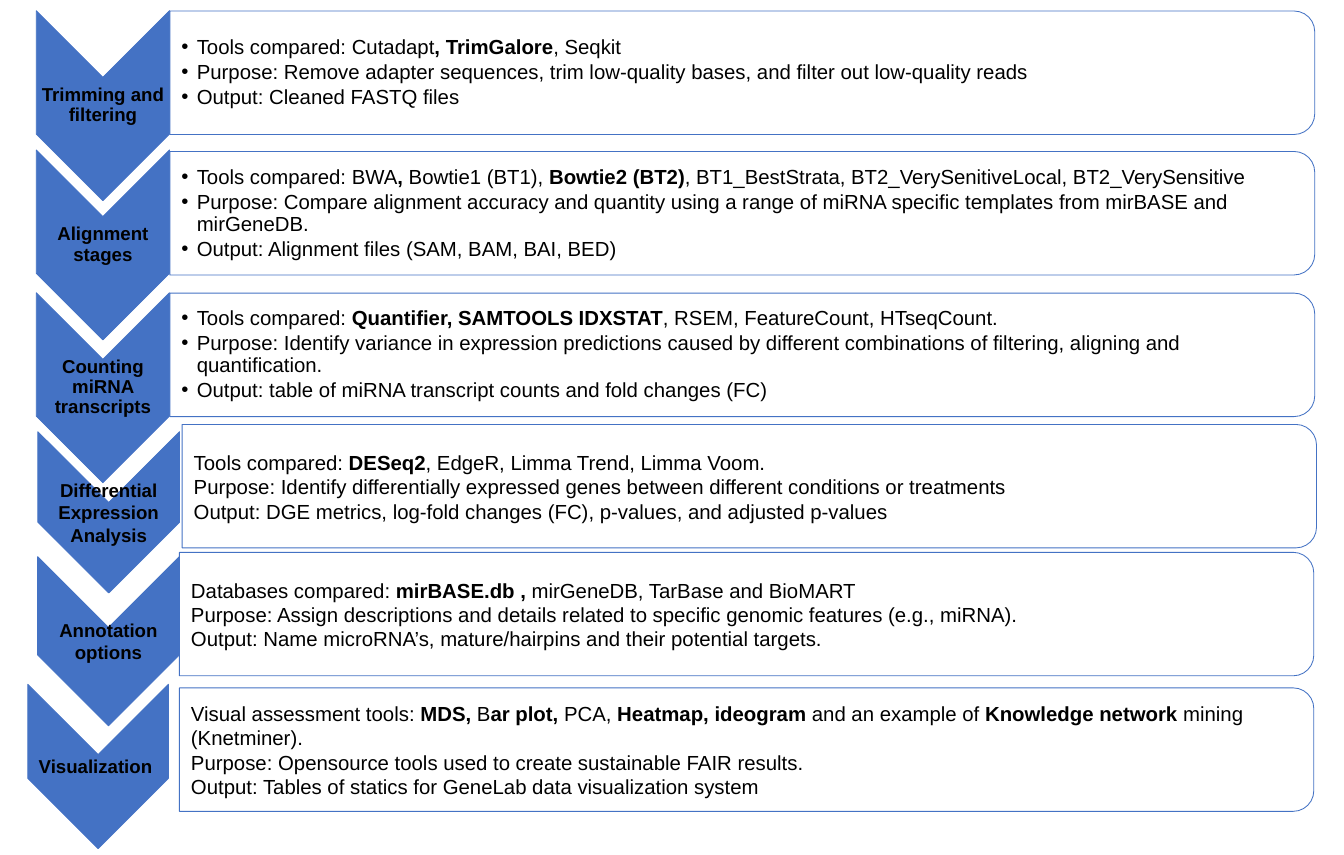
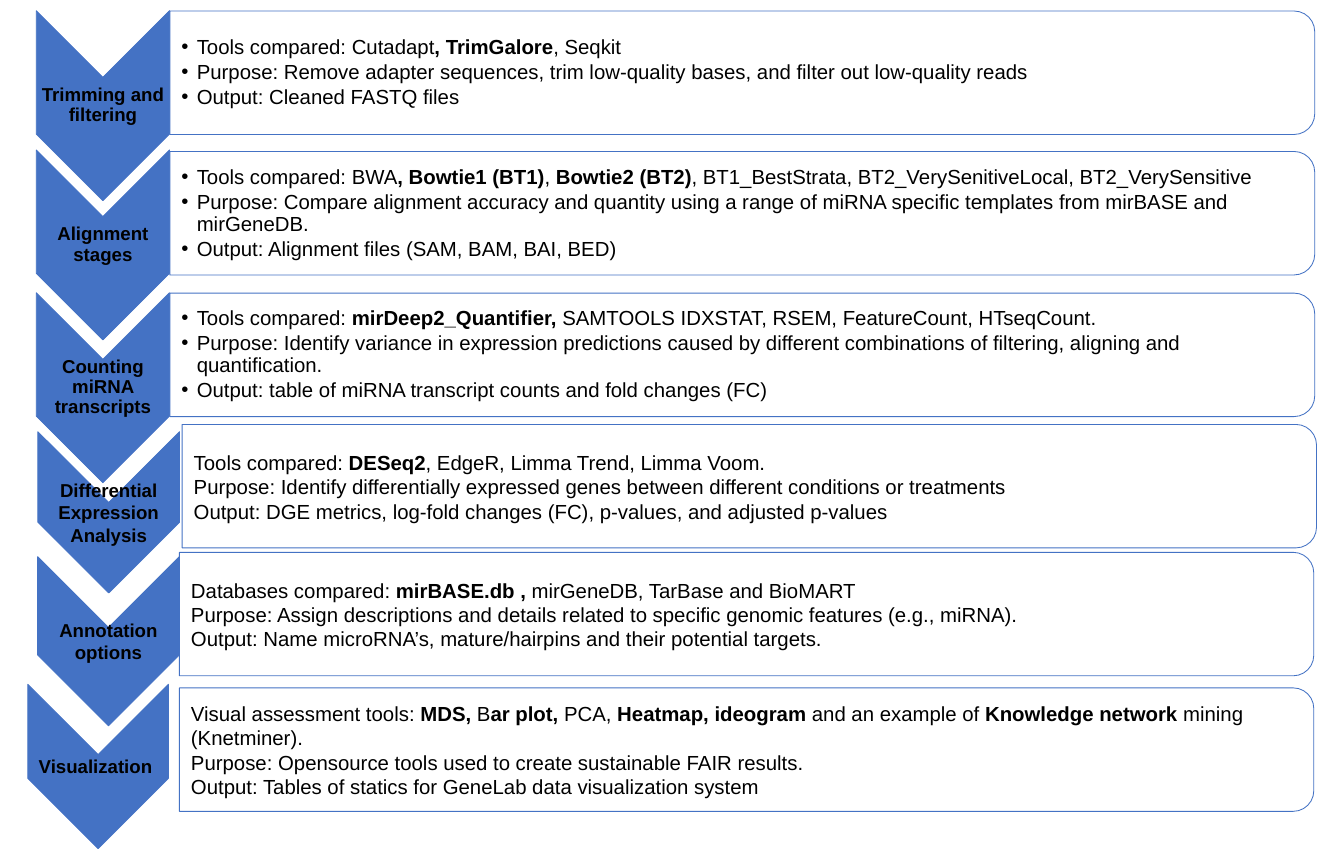
from dataclasses import dataclass

from lxml.etree import SubElement
from pptx import Presentation
from pptx.dml.color import RGBColor
from pptx.enum.shapes import MSO_SHAPE
from pptx.enum.text import MSO_ANCHOR, PP_ALIGN
from pptx.oxml.ns import qn
from pptx.shapes.autoshape import Shape
from pptx.slide import Slide
from pptx.text.text import TextFrame, _Paragraph
from pptx.util import Pt

COLORS = {"blue": "4472C4", "white": "FFFFFF", "black": "000000"}
FONT = "Arial"
LABEL_SIZE, DETAIL_SIZE = 22, 24
INSET, DETAIL_INSET, HANGING = 1.4, 13.7, 18
PANEL_ALPHA = 90
DETAIL_OFFSET, DETAIL_HEIGHT = 7.2, 131.8


@dataclass(frozen=True)
class Box:
    left: float
    top: float
    width: float
    height: float


@dataclass(frozen=True)
class Step:
    label: str
    arrow: Box
    panel: Box
    detail_width: float
    details: tuple[str, ...]
    compact: bool = False


def upper_step(label: str, arrow_top: float, panel_top: float, *details: str) -> Step:
    return Step(label, Box(42.8, arrow_top, 157, 223.9),
                Box(200.2, panel_top, 1349.3, 145.6), 1342.8, details, True)


def lower_step(label: str, arrow: Box, panel_left: float, panel_top: float,
               detail_width: float, *details: str) -> Step:
    return Step(label, arrow, Box(panel_left, panel_top, 1337, 145.6), detail_width, details)


def workflow(alignment_tools: str, counting_tools: str) -> list[Step]:
    return [
        upper_step(
            "Trimming and filtering", 12.6, 13,
            "Tools compared: Cutadapt**, TrimGalore**, Seqkit",
            "Purpose: Remove adapter sequences, trim low-quality bases, "
            "and filter out low-quality reads",
            "Output: Cleaned FASTQ files"),
        upper_step(
            "Alignment stages", 176.8, 178.6,
            f"Tools compared: BWA{alignment_tools}, BT1_BestStrata, "
            "BT2_VerySenitiveLocal, BT2_VerySensitive",
            "Purpose: Compare alignment accuracy and quantity using a range of "
            "miRNA specific templates from mirBASE and mirGeneDB.",
            "Output: Alignment files (SAM, BAM, BAI, BED)"),
        upper_step(
            "Counting miRNA transcripts", 345.2, 345.6,
            f"Tools compared: {counting_tools}, RSEM, FeatureCount, HTseqCount.",
            "Purpose: Identify variance in expression predictions caused by different "
            "combinations of filtering, aligning and quantification.",
            "Output: table of miRNA transcript counts and fold changes (FC)"),
        lower_step(
            "Differential Expression Analysis", Box(44.6, 509, 167, 190.1), 214.6, 500.4, 1324,
            "Tools compared: **DESeq2**, EdgeR, Limma Trend, Limma Voom.",
            "Purpose: Identify differentially expressed genes between different "
            "conditions or treatments",
            "Output: DGE metrics, log-fold changes (FC), p-values, and adjusted p-values"),
        lower_step(
            "Annotation options", Box(44.3, 656.3, 167, 199.4), 211.4, 651.2, 1345.7,
            "Databases compared: **mirBASE.db , **mirGeneDB, TarBase and BioMART",
            "Purpose: Assign descriptions and details related to specific genomic "
            "features (e.g., miRNA).",
            "Output: Name microRNA’s, mature/hairpins and their potential targets."),
        lower_step(
            "Visualization ", Box(32.8, 806.8, 165.6, 193.7), 211.4, 811, 1324,
            "Visual assessment tools: **MDS,** B**ar plot, **PCA, **Heatmap, ideogram **"
            "and an example of **Knowledge network **mining (Knetminer).",
            "Purpose: Opensource tools used to create sustainable FAIR results.",
            "Output: Tables of statics for GeneLab data visualization system"),
    ]


def color(name: str) -> RGBColor:
    return RGBColor.from_string(COLORS[name])


def add_turned(slide: Slide, preset: MSO_SHAPE, box: Box, fill: str) -> Shape:
    left = box.left + (box.width - box.height) / 2
    top = box.top + (box.height - box.width) / 2
    shape = slide.shapes.add_shape(preset, Pt(left), Pt(top), Pt(box.height), Pt(box.width))
    shape.rotation = 90
    shape.shadow.inherit = False
    shape.fill.solid()
    shape.fill.fore_color.rgb = color(fill)
    shape.line.color.rgb = color("blue")
    shape.line.width = Pt(1)
    return shape


def set_alpha(shape: Shape, percent: int) -> None:
    tint = shape.fill._xPr.find(qn("a:solidFill"))[0]
    SubElement(tint, qn("a:alpha")).set("val", str(percent * 1000))


def add_frame(slide: Slide, box: Box, left_inset: float) -> TextFrame:
    frame = slide.shapes.add_textbox(
        Pt(box.left), Pt(box.top), Pt(box.width), Pt(box.height)).text_frame
    frame.word_wrap = True
    frame.vertical_anchor = MSO_ANCHOR.MIDDLE
    frame.margin_left = Pt(left_inset)
    frame.margin_top = frame.margin_right = frame.margin_bottom = Pt(INSET)
    return frame


def add_run(paragraph: _Paragraph, text: str, size: float, bold: bool) -> None:
    run = paragraph.add_run()
    run.text = text
    run.font.name = FONT
    run.font.size = Pt(size)
    run.font.bold = bold
    run.font.color.rgb = color("black")


def tighten(paragraph: _Paragraph, space_after: float) -> None:
    paragraph.line_spacing = 0.9
    paragraph.space_after = Pt(space_after)


def add_bullet(paragraph: _Paragraph) -> None:
    paragraph.level = 1
    properties = paragraph._p.get_or_add_pPr()
    properties.set("marL", str(Pt(HANGING)))
    properties.set("indent", str(-Pt(HANGING)))
    SubElement(properties, qn("a:buFont")).set("typeface", FONT)
    SubElement(properties, qn("a:buChar")).set("char", "•")


def draw_label(slide: Slide, step: Step) -> None:
    arrow = step.arrow
    box = Box(arrow.left, arrow.top + 0.35 * arrow.height, arrow.width, 0.3 * arrow.height)
    paragraph = add_frame(slide, box, INSET).paragraphs[0]
    paragraph.alignment = PP_ALIGN.CENTER
    if step.compact:
        tighten(paragraph, 0.35 * LABEL_SIZE)
    add_run(paragraph, step.label, LABEL_SIZE, True)


def draw_details(slide: Slide, step: Step) -> None:
    panel = step.panel
    box = Box(panel.left, panel.top + DETAIL_OFFSET, step.detail_width, DETAIL_HEIGHT)
    frame = add_frame(slide, box, DETAIL_INSET)
    for index, detail in enumerate(step.details):
        paragraph = frame.add_paragraph() if index else frame.paragraphs[0]
        if step.compact:
            tighten(paragraph, 0.15 * DETAIL_SIZE)
            add_bullet(paragraph)
        for position, text in enumerate(detail.split("**")):
            add_run(paragraph, text, DETAIL_SIZE, position % 2 == 1)


def draw_step(slide: Slide, step: Step) -> None:
    add_turned(slide, MSO_SHAPE.CHEVRON, step.arrow, "blue")
    draw_label(slide, step)
    panel = add_turned(slide, MSO_SHAPE.ROUND_2_SAME_RECTANGLE, step.panel, "white")
    set_alpha(panel, PANEL_ALPHA)
    draw_details(slide, step)


def main() -> None:
    deck = Presentation()
    deck.slide_width, deck.slide_height = Pt(1584), Pt(1008)
    workflows = (
        workflow("**,** Bowtie1 (BT1), **Bowtie2 (BT2)**",
                 "**Quantifier, SAMTOOLS IDXSTAT**"),
        workflow("**, Bowtie1 (BT1)**, **Bowtie2 (BT2)**",
                 "**mirDeep2_Quantifier, **SAMTOOLS IDXSTAT"),
    )
    for steps in workflows:
        slide = deck.slides.add_slide(deck.slide_layouts[6])
        for step in steps:
            draw_step(slide, step)
    deck.save("out.pptx")


if __name__ == "__main__":
    main()
